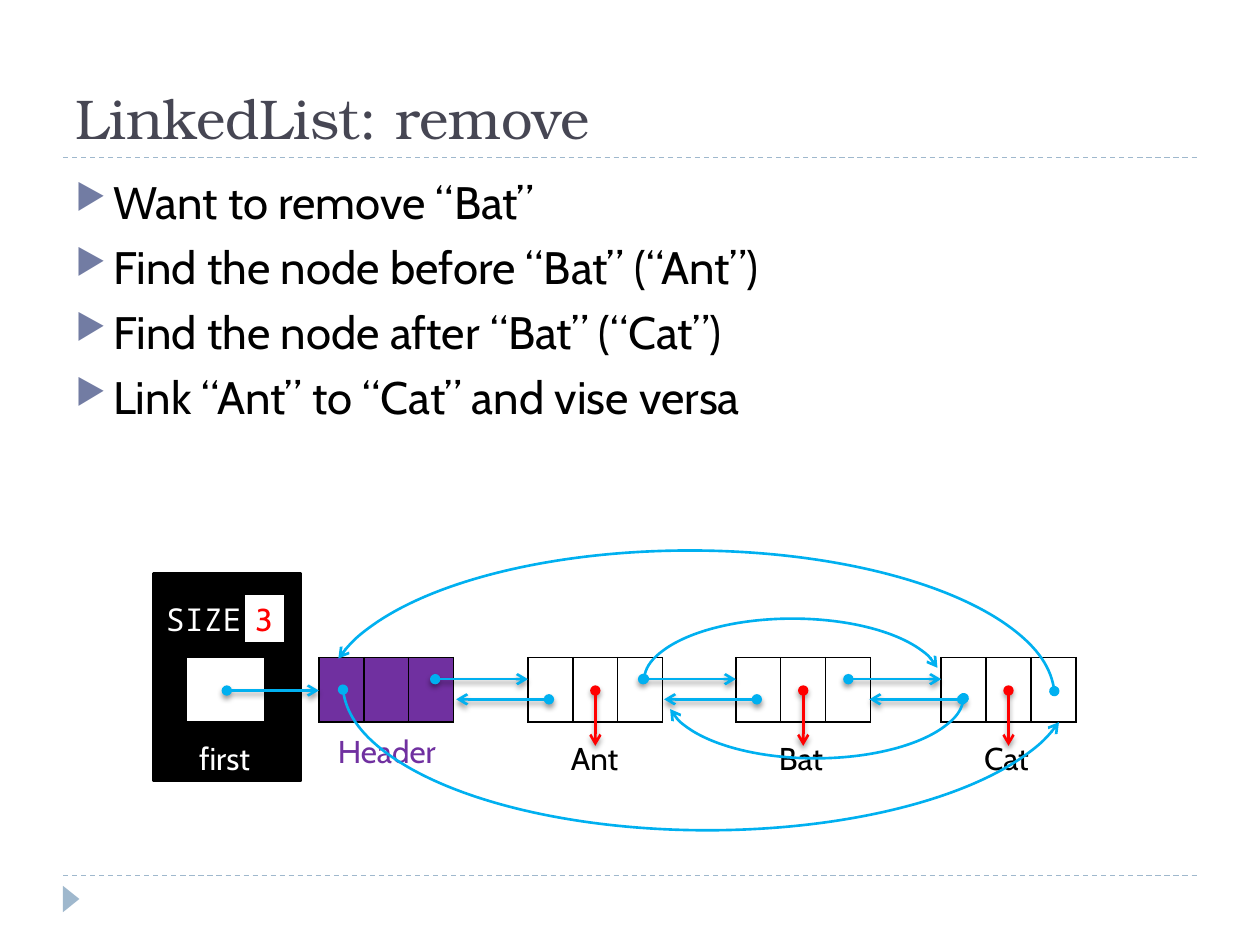
"""Build the slide on removing a node from a doubly linked list."""
from lxml import etree
from pptx import Presentation
from pptx import util as u
from pptx.dml.color import RGBColor
from pptx.enum import dml, shapes, text
from pptx.oxml.ns import qn

Pt = u.Pt
COLORS = {"ink": "000000", "white": "FFFFFF", "title": "464653", "bullet": "727CA3",
          "rule": "9FB8CD", "link": "00B0F0", "value": "FF0000", "header": "7030A0"}
FONTS = {"body": "Cabin", "code": "Noto Sans Mono", "title": "TeX Gyre Bonum"}

TITLE = "LinkedList: remove"
STEPS = ["Want to remove “Bat”", "Find the node before “Bat” (“Ant”)",
         "Find the node after “Bat” (“Cat”)", "Link “Ant” to “Cat” and vise versa"]
HEADER_X = 182.2
NODES = [("Ant", 301.7, 44.6), ("Bat", 420.5, 44.6), ("Cat", 537.8, 50.4)]
NODE_TOP, NODE_WIDTH, ROW_HEIGHT, LABEL_TOP = 375.8, 77, 36.7, 415.4
FORWARD_Y, MIDDLE_Y, BACK_Y, VALUE_END = 388.1, 394.6, 399.6, 426.2
LONG_SWEEP, SHORT_SWEEP = (108.64, 212.17), (108.64, 212.74)
ARCS = [((185.8, 314.6, 416.9, 168.5), LONG_SWEEP, ["flipH"]),
        ((195.8, 306, 416.9, 168.5), LONG_SWEEP, ["flipV"]),
        ((367.9, 353.5, 169.9, 72), SHORT_SWEEP, []),
        ((380.9, 361.4, 169.9, 72), SHORT_SWEEP, ["flipH", "flipV"])]


def rgb(color):
    return RGBColor.from_string(COLORS[color])


def apply(target, values):
    for name, value in values.items():
        setattr(target, name, value)


def add(parent, tag, **attributes):
    return etree.SubElement(parent, qn(tag), attributes)


def write(frame, words, size, color, font="body", align=text.PP_ALIGN.LEFT, **frame_format):
    apply(frame, {"word_wrap": True, **frame_format})
    paragraph = frame.paragraphs[0]
    paragraph.alignment = align
    run = paragraph.add_run()
    run.text = words
    apply(run.font, {"size": Pt(size), "name": FONTS[font]})
    run.font.color.rgb = rgb(color)


def stroke(shape, color, width):
    shape.line.width = Pt(width)
    shape.line.color.rgb = rgb(color)


def arrowheads(shape):
    outline = shape.element.spPr.find(qn("a:ln"))
    add(outline, "a:headEnd", type="oval")
    add(outline, "a:tailEnd", type="arrow")


def line(slide, start, end, color, width):
    connector = slide.shapes.add_connector(
        shapes.MSO_CONNECTOR.STRAIGHT, *map(Pt, start + end))
    stroke(connector, color, width)
    return connector, add(connector.element.spPr, "a:effectLst")


def arrow(slide, start, end, color="link"):
    connector, effects = line(slide, start, end, color, 1.5)
    arrowheads(connector)
    shadow = add(effects, "a:outerShdw", blurRad=str(Pt(3)), dist=str(Pt(2)),
                 dir="5400000", rotWithShape="0")
    add(add(shadow, "a:srgbClr", val=COLORS["ink"]), "a:alpha", val="40000")


def shape(slide, kind, box, fill=None, outline=None):
    part = slide.shapes.add_shape(kind, *map(Pt, box))
    part.shadow.inherit = False
    if fill:
        part.fill.solid()
        part.fill.fore_color.rgb = rgb(fill)
    else:
        part.fill.background()
    if outline:
        stroke(part, outline, 1.5)
    else:
        part.line.fill.background()
    return part


def borders(cell, color):
    properties = cell._tc.get_or_add_tcPr()
    for place, side in enumerate(("a:lnL", "a:lnR", "a:lnT", "a:lnB")):
        edge = etree.Element(qn(side), w=str(Pt(1)))
        if color:
            add(add(edge, "a:solidFill"), "a:srgbClr", val=COLORS[color])
        else:
            add(edge, "a:noFill")
        properties.insert(place, edge)


def cells(slide, left, top, width, columns=1, fill=None, border=None):
    grid = slide.shapes.add_table(
        1, columns, *map(Pt, (left, top, width, ROW_HEIGHT))).table
    apply(grid, {"first_row": False, "horz_banding": False})
    for cell in grid.iter_cells():
        if fill:
            cell.fill.solid()
            cell.fill.fore_color.rgb = rgb(fill)
        else:
            cell.fill.background()
        borders(cell, border)
    return grid


def label(slide, words, left, top, width, color):
    cell = cells(slide, left, top, width).cell(0, 0)
    cell.vertical_anchor = text.MSO_ANCHOR.MIDDLE
    write(cell.text_frame, words, 18, color)


def heading(slide):
    title = slide.shapes.title
    apply(title, dict(zip(("left", "top", "width", "height"), map(Pt, (36, 12.2, 648, 77.8)))))
    write(title.text_frame, TITLE, 32, "title", "title",
          vertical_anchor=text.MSO_ANCHOR.BOTTOM)
    for y in (90, 500.4):
        rule, _ = line(slide, (36, y), (684, y), "rule", 0.75)
        rule.line.dash_style = dml.MSO_LINE.DASH
    marker = shape(slide, shapes.MSO_SHAPE.ISOSCELES_TRIANGLE, (33.1, 509, 15.1, 9.4), "rule")
    marker.rotation = 90


def steps(slide):
    frame = slide.shapes.add_textbox(*map(Pt, (36, 95.8, 648, 388.8))).text_frame
    frame.word_wrap = True
    for number, step in enumerate(STEPS):
        paragraph = frame.add_paragraph() if number else frame.paragraphs[0]
        paragraph.space_before = Pt(6)
        apply(paragraph.font, {"size": Pt(26), "name": FONTS["body"]})
        paragraph.font.color.rgb = rgb("ink")
        run = paragraph.add_run()
        run.text = step
        apply(run.font, {"size": Pt(26), "name": FONTS["body"]})
        run.font.color.rgb = rgb("ink")
        properties = paragraph._p.get_or_add_pPr()
        apply_indent = {"marL": str(Pt(21.6)), "indent": str(-Pt(21.6))}
        for name, value in apply_indent.items():
            properties.set(name, value)
        bullet = [etree.Element(qn("a:buClr")), etree.Element(qn("a:buSzPct"), val="76000"),
                  etree.Element(qn("a:buChar"), char="▶")]
        add(bullet[0], "a:srgbClr", val=COLORS["bullet"])
        properties.find(qn("a:spcBef")).addnext(bullet[0])
        bullet[0].addnext(bullet[1])
        bullet[1].addnext(bullet[2])


def list_object(slide):
    rectangle = shapes.MSO_SHAPE.RECTANGLE
    holder = shape(slide, rectangle, (87.8, 327.6, 84.2, 118.8), "ink", "ink")
    write(holder.text_frame, "SIZE", 18, "white", "code",
          vertical_anchor=text.MSO_ANCHOR.TOP, margin_top=Pt(15.5))
    size = shape(slide, rectangle, (139, 339.1, 23.8, 28.8), "white", "ink")
    write(size.text_frame, "3", 18, "value", align=text.PP_ALIGN.CENTER,
          word_wrap=False, vertical_anchor=text.MSO_ANCHOR.MIDDLE)
    cells(slide, 106.6, NODE_TOP, 44.6, fill="white", border="ink")
    label(slide, "first", 106.6, LABEL_TOP, 44.6, "white")


def chain(slide):
    cells(slide, HEADER_X, NODE_TOP, NODE_WIDTH, 3, "header", "ink")
    label(slide, "Header", 185.8, 411.8, 73.4, "header")
    arrow(slide, (129.6, MIDDLE_Y), (HEADER_X, MIDDLE_Y))
    for name, left, width in NODES:
        cells(slide, left, NODE_TOP, NODE_WIDTH, 3, border="ink")
        label(slide, name, left + 17.3, LABEL_TOP, width, "ink")
    for _, left, _ in NODES:
        center = left + NODE_WIDTH / 2
        arrow(slide, (left - 53, FORWARD_Y), (left, FORWARD_Y))
        arrow(slide, (left + 12, BACK_Y), (left - 41, BACK_Y))
        arrow(slide, (center, MIDDLE_Y), (center, VALUE_END), "value")
    for box, sweep, flips in ARCS:
        arc = shape(slide, shapes.MSO_SHAPE.ARC, box, outline="link")
        arc.adjustments[0], arc.adjustments[1] = sweep
        arrowheads(arc)
        for flip in flips:
            arc.element.spPr.find(qn("a:xfrm")).set(flip, "1")


deck = Presentation()
apply(deck, {"slide_width": Pt(720), "slide_height": Pt(540)})
page = deck.slides.add_slide(deck.slide_layouts[5])
for draw in (heading, steps, list_object, chain):
    draw(page)
deck.save("out.pptx")
